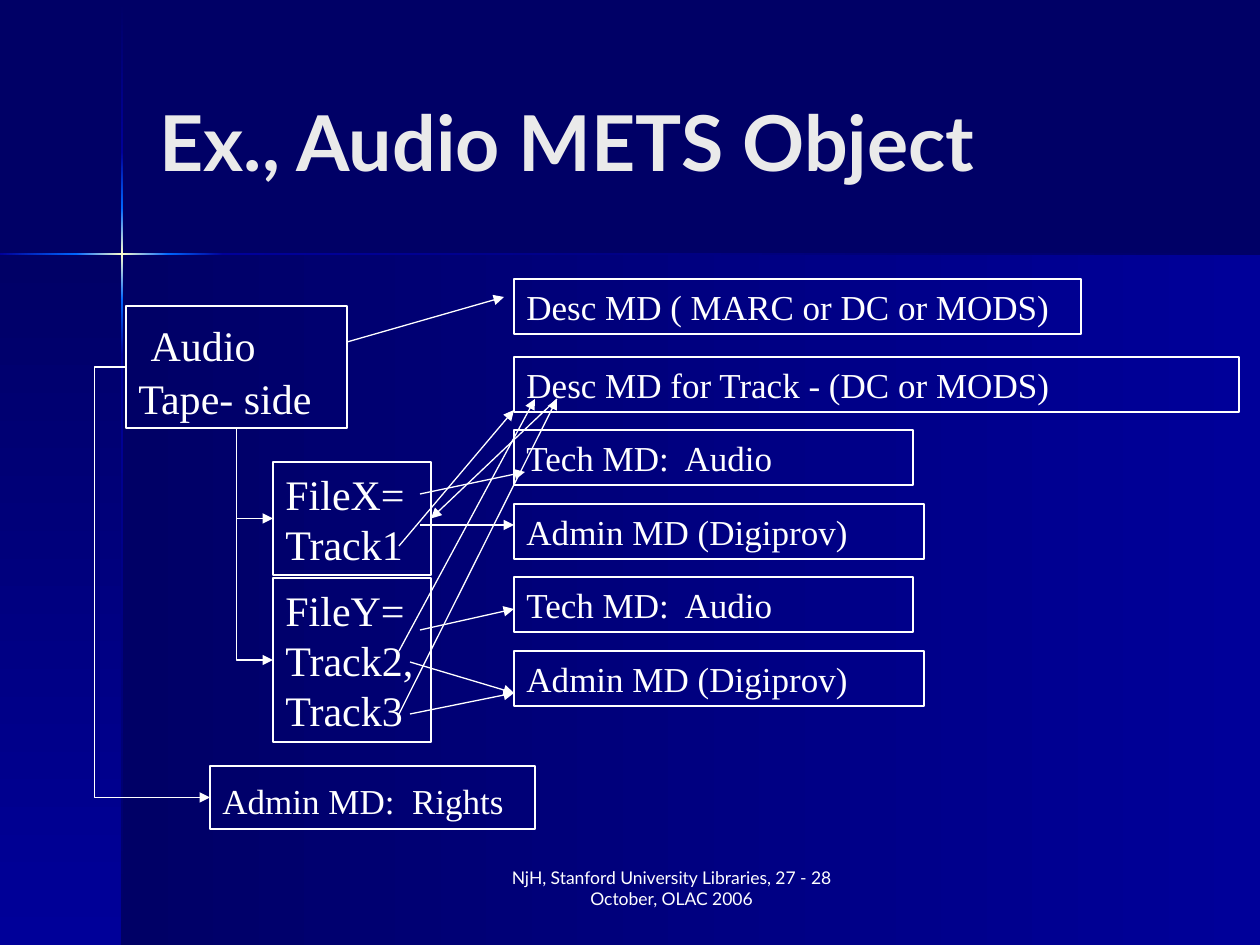
"""Build a slide that maps the parts of an audio METS object."""
from lxml import etree
from pptx import Presentation
from pptx.dml.color import RGBColor
from pptx.enum.shapes import MSO_CONNECTOR, MSO_SHAPE
from pptx.enum.text import MSO_ANCHOR, PP_ALIGN
from pptx.oxml import parse_xml
from pptx.oxml.ns import nsdecls, qn
from pptx.util import Pt

RECT = MSO_SHAPE.RECTANGLE
LINE, ELBOW = MSO_CONNECTOR.STRAIGHT, MSO_CONNECTOR.ELBOW
TOP, MID = MSO_ANCHOR.TOP, MSO_ANCHOR.MIDDLE
LEFT, MIDST = PP_ALIGN.LEFT, PP_ALIGN.CENTER
PX = 914400 / 126
HUE = {"dark": "000066", "deep": "000099", "glow": "0066FF", "star": "FFFFCC",
       "head": "EAEAEA", "white": "FFFFFF"}
SERIF, SANS = "Times New Roman", "Lato"


def write(shape, runs, face, tint="white", bold=False, lead=None, side=LEFT, hold=TOP):
    frame = shape.text_frame
    frame.word_wrap = True
    frame.vertical_anchor = hold
    para = frame.paragraphs[0]
    para.alignment = side
    if lead:
        para.line_spacing = Pt(lead)
    for text, size in runs:
        run = para.add_run()
        run.text = text
        run.font.name = face
        run.font.size = Pt(size)
        run.font.bold = bold
        run.font.color.rgb = RGBColor.from_string(HUE[tint])


def wire(kind, *ends):
    link = slide.shapes.add_connector(kind, *[round(n * PX) for n in ends])
    link.line.color.rgb = RGBColor.from_string(HUE["white"])
    link.line.width = Pt(0.75)
    etree.SubElement(link.line._get_or_add_ln(), qn("a:tailEnd"), type="triangle")
    etree.SubElement(link._element.spPr, qn("a:effectLst"))
    return link


deck = Presentation()
deck.slide_width, deck.slide_height = round(1260 * PX), round(945 * PX)
slide = deck.slides.add_slide(deck.slide_layouts[6])
slide.background.fill.solid()
slide.background.fill.fore_color.rgb = RGBColor.from_string(HUE["dark"])

bands = [
    (122, 255, 1138, 690, 180, "deep dark"),
    (0, 255, 122, 690, 90, "dark deep"),
    (121, 1, 2, 151, 90, "dark deep"),
    (121, 355, 2, 590, 90, "deep dark"),
    (223, 253, 1037, 2, 180, "dark deep"),
    (121, 300, 2, 55, 90, "glow deep"),
    (121, 152, 2, 56, 90, "deep glow"),
    (121, 208, 2, 92, 90, "glow star glow"),
    (0, 253, 76, 2, 180, "glow deep"),
    (168, 253, 55, 2, 180, "deep glow"),
    (76, 253, 92, 2, 180, "glow star glow"),
]
for *area, turn, tones in bands:
    band = slide.shapes.add_shape(RECT, *[round(n * PX) for n in area])
    band.shadow.inherit = False
    band.line.fill.background()
    names = tones.split()
    stops = "".join(
        f'<a:gs pos="{100000 * i // (len(names) - 1)}"><a:srgbClr val="{HUE[name]}"/></a:gs>'
        for i, name in enumerate(names))
    band._element.spPr.insert(2, parse_xml(
        f'<a:gradFill {nsdecls("a")} rotWithShape="1"><a:gsLst>{stops}</a:gsLst>'
        f'<a:lin ang="{turn * 60000}" scaled="0"/></a:gradFill>'))

title = slide.shapes.add_textbox(*[round(n * PX) for n in (147, 42, 1040, 198)])
write(title, [("Ex., Audio METS Object", 44)], SANS, "head", True, hold=MID)

cards = [
    ("tape", 126, 306, 221, 122, 1, 29.7, [(" ", 28), ("Audio Tape- side", 24)]),
    ("one", 273, 462, 158, 113, 0.75, 28.8, [("FileX=Track1", 24)]),
    ("two", 273, 578, 158, 164, 0.75, 28.8, [("FileY= Track2, Track3", 24)]),
    ("rights", 210, 766, 325, 63, 1, 28, [("Admin MD:  Rights", 20)]),
    ("desc", 514, 279, 567, 55, 1, 24, [("Desc MD ( MARC or DC or MODS)", 20)]),
    ("track", 514, 357, 725, 55, 1, 24, [("Desc MD for Track - (DC or MODS)", 20)]),
]
for i in range(2):
    cards += [
        (f"tech{i}", 514, 430 + 147 * i, 399, 55, 1, 24, [("Tech MD:  Audio", 20)]),
        (f"admin{i}", 514, 504 + 147 * i, 410, 55, 1, 24, [("Admin MD (Digiprov)", 20)]),
    ]
boxes = {}
for name, *area, rule, lead, runs in cards:
    box = slide.shapes.add_shape(RECT, *[round(n * PX) for n in area])
    box.shadow.inherit = False
    box.fill.background()
    box.line.color.rgb = RGBColor.from_string(HUE["white"])
    box.line.width = Pt(rule)
    write(box, runs, SERIF, lead=lead)
    boxes[name] = box
boxes["tape"].text_frame.margin_top = round(13 * PX)

for ends in [
    (347, 342, 504, 297), (420, 525, 514, 525), (420, 630, 514, 609),
    (410, 662, 514, 693), (399, 546, 514, 410), (410, 714, 514, 693),
    (399, 651, 535, 399), (399, 714, 557, 399), (420, 494, 525, 472),
]:
    wire(LINE, *ends)
wire(LINE, 557, 399, 431, 519).end_connect(boxes["one"], 3)

for name in ("two", "one"):
    link = wire(ELBOW, 236, 428, 273, 519)
    link.begin_connect(boxes["tape"], 2)
    link.end_connect(boxes[name], 1)
    wide, tall = link.width, link.height
    link.left += (wide - tall) // 2
    link.top += (tall - wide) // 2
    link.width, link.height = tall, wide
    frame = link._element.spPr.find(qn("a:xfrm"))
    frame.set("rot", "16200000")
    frame.set("flipH", "1")
    link._element.spPr.find(qn("a:prstGeom")).set("prst", "bentConnector2")

link = wire(ELBOW, 126, 367, 210, 798)
link.begin_connect(boxes["tape"], 1)
link.end_connect(boxes["rights"], 1)
bend = link._element.spPr.find(qn("a:prstGeom")).find(qn("a:avLst"))
etree.SubElement(bend, qn("a:gd"), name="adj1", fmla="val -37500")

foot = slide.shapes.add_textbox(*[round(n * PX) for n in (472, 861, 399, 63)])
write(foot, [("NjH, Stanford University Libraries, 27 - 28 October, OLAC 2006", 10)],
      SANS, side=MIDST)

deck.save("out.pptx")
